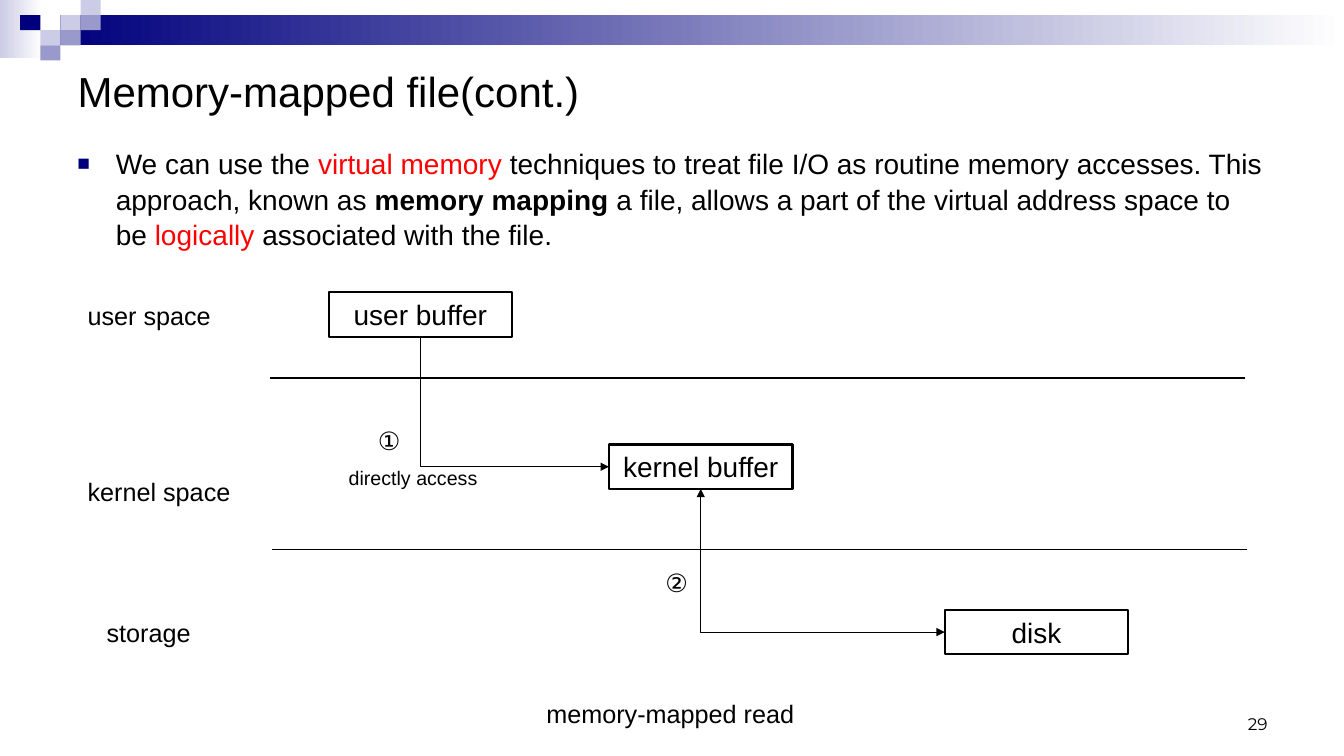
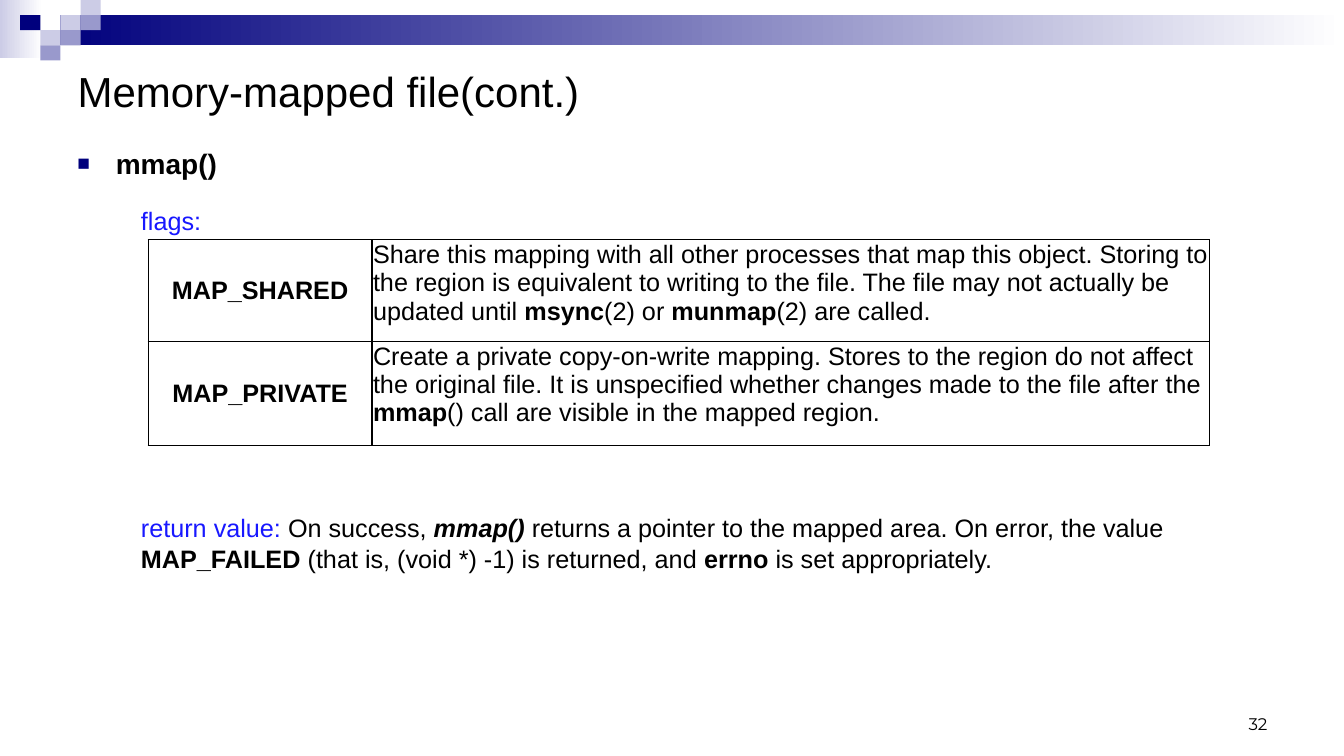
from lxml.etree import SubElement
from pptx import Presentation
from pptx.dml.color import RGBColor
from pptx.enum.shapes import MSO_CONNECTOR as CONNECTOR, MSO_SHAPE as SHAPE
from pptx.enum.text import MSO_ANCHOR as ANCHOR, PP_ALIGN as ALIGN
from pptx.oxml.ns import qn
from pptx.util import Inches, Pt

NAVY, LILAC, PALE = "00007D", "9999CC", "CCCCE6"
BLACK, WHITE, RED, BLUE = "000000", "FFFFFF", "FF0000", "1818FF"
TITLE = "Memory-mapped file(cont.)"
PLAIN = {}
BOLD = {"bold": True}
BOLD_ITALIC = {"bold": True, "italic": True}
IN_RED = {"color": RED}
IN_BLUE = {"color": BLUE}


def rgb(value):
    """Turn a hex string into a colour."""
    return RGBColor.from_string(value)


def inches(*values):
    """Turn numbers into lengths."""
    return [Inches(value) for value in values]


def add_run(paragraph, text, size, color=BLACK, bold=False, italic=False, font="Arial"):
    """Add one formatted run."""
    run = paragraph.add_run()
    run.text = text
    run.font.name, run.font.size = font, Pt(size)
    run.font.bold, run.font.italic = bold, italic
    run.font.color.rgb = rgb(color)


def write(frame, runs, size, align=ALIGN.LEFT, spacing=None):
    """Fill the first paragraph of a text frame with runs."""
    paragraph = frame.paragraphs[0]
    paragraph.alignment = align
    if spacing:
        paragraph.line_spacing = spacing
    for text, style in runs:
        add_run(paragraph, text, size, **style)
    return paragraph


def add_text(slide, box, runs, size, wrap=True, align=ALIGN.LEFT, spacing=None, anchor=ANCHOR.TOP):
    """Add a text box and return its paragraph."""
    frame = slide.shapes.add_textbox(*inches(*box)).text_frame
    frame.word_wrap = wrap
    frame.vertical_anchor = anchor
    return write(frame, runs, size, align, spacing)


def add_rectangle(slide, box):
    """Add a rectangle without shadow, fill or line."""
    shape = slide.shapes.add_shape(SHAPE.RECTANGLE, *inches(*box))
    shape.shadow.inherit = False
    shape.fill.background()
    shape.line.fill.background()
    return shape


def decorate_layout(slide, layout):
    """Put the top band and its mosaic on the layout."""
    gradients = [(PALE, (0, 0, 0.42, 0.58)), (NAVY, (0.6, 0.15, 12.73, 0.3))]
    tiles = [(PALE, 0.6, 0.15), (PALE, 0.8, 0), (LILAC, 0.8, 0.15), (PALE, 0.4, 0.3),
             (NAVY, 0.2, 0.15), (LILAC, 0.6, 0.3), (LILAC, 0.4, 0.45)]
    shapes = []
    for color, box in gradients:
        shape = add_rectangle(slide, box)
        shape.fill.gradient()
        shape.fill.gradient_angle = 0
        for stop, stop_color in zip(shape.fill.gradient_stops, (color, WHITE)):
            stop.color.rgb = rgb(stop_color)
        shapes.append(shape)
    for color, left, top in tiles:
        shape = add_rectangle(slide, (left, top, 0.2, 0.15))
        shape.fill.solid()
        shape.fill.fore_color.rgb = rgb(color)
        shapes.append(shape)
    for shape in shapes:
        layout.shapes._spTree.append(shape._element)


def add_slide(presentation, number):
    """Add a slide with its title and number."""
    slide = presentation.slides.add_slide(presentation.slide_layouts[5])
    title = slide.shapes.title
    title.left, title.top, title.width, title.height = inches(0.67, 0.5, 12, 0.81)
    title.text_frame.vertical_anchor = ANCHOR.MIDDLE
    write(title.text_frame, [(TITLE, PLAIN)], 30)
    add_text(slide, (9.56, 6.83, 3.11, 0.5), [(number, {"font": "Montserrat"})], 12,
             align=ALIGN.RIGHT, anchor=ANCHOR.BOTTOM)
    return slide


def add_bullet(slide, box, runs):
    """Add a paragraph with a navy square bullet."""
    paragraph = add_text(slide, box, runs, 20, spacing=1.05)
    properties = paragraph._p.get_or_add_pPr()
    properties.set("marL", str(Inches(0.38)))
    properties.set("indent", str(-Inches(0.38)))
    color = SubElement(properties, qn("a:buClr"))
    SubElement(color, qn("a:srgbClr")).set("val", NAVY)
    SubElement(properties, qn("a:buSzPct")).set("val", "75000")
    SubElement(properties, qn("a:buFont")).set("typeface", "Arial")
    SubElement(properties, qn("a:buChar")).set("char", "■")


def add_line(slide, kind, start, end):
    """Add a thin black connector without shadow."""
    connector = slide.shapes.add_connector(kind, *inches(*start, *end))
    connector.line.color.rgb = rgb(BLACK)
    connector.line.width = Pt(0.75)
    SubElement(connector._element.spPr, qn("a:effectLst"))
    return connector


def add_elbow(slide, source, target, ends):
    """Link the bottom of one box to the left side of another."""
    left, top = source.left + source.width // 2, source.top + source.height
    across = target.left - left
    down = target.top + target.height // 2 - top
    connector = add_line(slide, CONNECTOR.ELBOW, (0, 0), (1, 1))
    connector.begin_connect(source, 2)
    connector.end_connect(target, 1)
    connector.left = left + (across - down) // 2
    connector.top = top + (down - across) // 2
    connector.width, connector.height = down, across
    properties = connector._element.spPr
    frame = properties.find(qn("a:xfrm"))
    frame.set("rot", "16200000")
    frame.set("flipH", "1")
    properties.find(qn("a:prstGeom")).set("prst", "bentConnector2")
    outline = connector.line._get_or_add_ln()
    for end in ends:
        SubElement(outline, qn(f"a:{end}")).set("type", "triangle")


def add_node(slide, left, top, text):
    """Add an outlined box of the diagram."""
    shape = add_rectangle(slide, (left, top, 1.82, 0.44))
    shape.line.color.rgb = rgb(BLACK)
    shape.line.width = Pt(1.5)
    write(shape.text_frame, [(text, PLAIN)], 20, ALIGN.CENTER)
    return shape


def add_diagram(slide, left, top):
    """Draw the path of a memory-mapped read."""
    for x, y in [(1.91, 0.85), (1.93, 2.55)]:
        add_line(slide, CONNECTOR.STRAIGHT, (left + x, top + y), (left + x + 9.67, top + y))
    nodes = [(2.49, 0, "user buffer"), (5.27, 1.51, "kernel buffer"), (8.6, 3.15, "disk")]
    user, kernel, disk = [add_node(slide, left + x, top + y, text) for x, y, text in nodes]
    add_elbow(slide, user, kernel, ["tailEnd"])
    add_elbow(slide, kernel, disk, ["headEnd", "tailEnd"])
    labels = [(0, 0.03, 1.44, "user space", 18), (0, 1.78, 1.63, "kernel space", 18),
              (0.19, 3.18, 1.04, "storage", 18), (2.88, 1.27, 0.45, "①", 18),
              (5.73, 2.68, 0.45, "②", 18), (2.59, 1.67, 1.49, "directly access", 14),
              (4.55, 3.98, 2.68, "memory-mapped read", 18)]
    for x, y, width, text, size in labels:
        add_text(slide, (left + x, top + y, width, 0.4), [(text, PLAIN)], size, wrap=False)


def outline_cell(cell):
    """Give a cell thin black borders on all sides."""
    properties = cell._tc.get_or_add_tcPr()
    for index, side in enumerate(("lnL", "lnR", "lnT", "lnB")):
        border = properties.makeelement(qn(f"a:{side}"), {"w": str(Pt(1))})
        fill = SubElement(border, qn("a:solidFill"))
        SubElement(fill, qn("a:srgbClr")).set("val", BLACK)
        properties.insert(index, border)


def add_flags_table(slide, left, top):
    """Add the table of mapping flags."""
    rows = [
        ("MAP_SHARED", [
            ("Share this mapping with all other processes that map this object. Storing to the "
             "region is equivalent to writing to the file. The file may not actually be updated "
             "until ", PLAIN),
            ("msync", BOLD), ("(2) or ", PLAIN), ("munmap", BOLD), ("(2) are called.", PLAIN)]),
        ("MAP_PRIVATE", [
            ("Create a private copy-on-write mapping. Stores to the region do not affect the "
             "original file. It is unspecified whether changes made to the file after the ", PLAIN),
            ("mmap", BOLD), ("() call are visible in the mapped region.", PLAIN)]),
    ]
    table = slide.shapes.add_table(2, 2, *inches(left, top, 10.53, 2.04)).table
    table.first_row = table.horz_banding = False
    for column, width in zip(table.columns, (2.22, 8.31)):
        column.width = Inches(width)
    for row, height, (flag, meaning) in zip(table.rows, (1.01, 1.03), rows):
        row.height = Inches(height)
        name_cell, meaning_cell = row.cells
        for cell in (name_cell, meaning_cell):
            cell.fill.background()
            cell.margin_left = cell.margin_right = Inches(0.01)
            cell.margin_top = cell.margin_bottom = Inches(0.01)
            outline_cell(cell)
        name_cell.vertical_anchor = ANCHOR.MIDDLE
        write(name_cell.text_frame, [(flag, BOLD)], 18, ALIGN.CENTER)
        write(meaning_cell.text_frame, meaning, 18)


def build_read_slide(slide):
    """Fill the slide on memory-mapped reading."""
    add_bullet(slide, (0.67, 1.39, 12, 1.2), [
        ("We can use the ", PLAIN), ("virtual memory ", IN_RED),
        ("techniques to treat file I/O as routine memory accesses. This approach, known as ", PLAIN),
        ("memory mapping ", BOLD),
        ("a file, allows a part of the virtual address space to be ", PLAIN),
        ("logically", IN_RED), (" associated with the file.", PLAIN)])
    add_diagram(slide, 0.77, 2.9)


def build_flags_slide(slide):
    """Fill the slide on the flags and return value of mmap."""
    add_bullet(slide, (0.67, 1.39, 12, 0.5), [("mmap()", BOLD)])
    add_text(slide, (1.3, 1.98, 10.57, 0.4), [("flags:", IN_BLUE)], 18, spacing=1.04)
    add_flags_table(slide, 1.47, 2.38)
    add_text(slide, (1.3, 5.02, 10.57, 0.71), [
        ("return value: ", IN_BLUE), ("On success, ", PLAIN), ("mmap()", BOLD_ITALIC),
        (" returns a pointer to the mapped area. On error, the value ", PLAIN),
        ("MAP_FAILED ", BOLD), ("(that is, (void *) -1) is returned, and ", PLAIN),
        ("errno", BOLD), (" is set appropriately.", PLAIN)], 18, spacing=1.04)


def main():
    """Build and save the presentation."""
    presentation = Presentation()
    presentation.slide_width, presentation.slide_height = inches(13.33, 7.5)
    read_slide = add_slide(presentation, "29")
    decorate_layout(read_slide, read_slide.slide_layout)
    build_read_slide(read_slide)
    build_flags_slide(add_slide(presentation, "32"))
    presentation.save("out.pptx")


if __name__ == "__main__":
    main()
